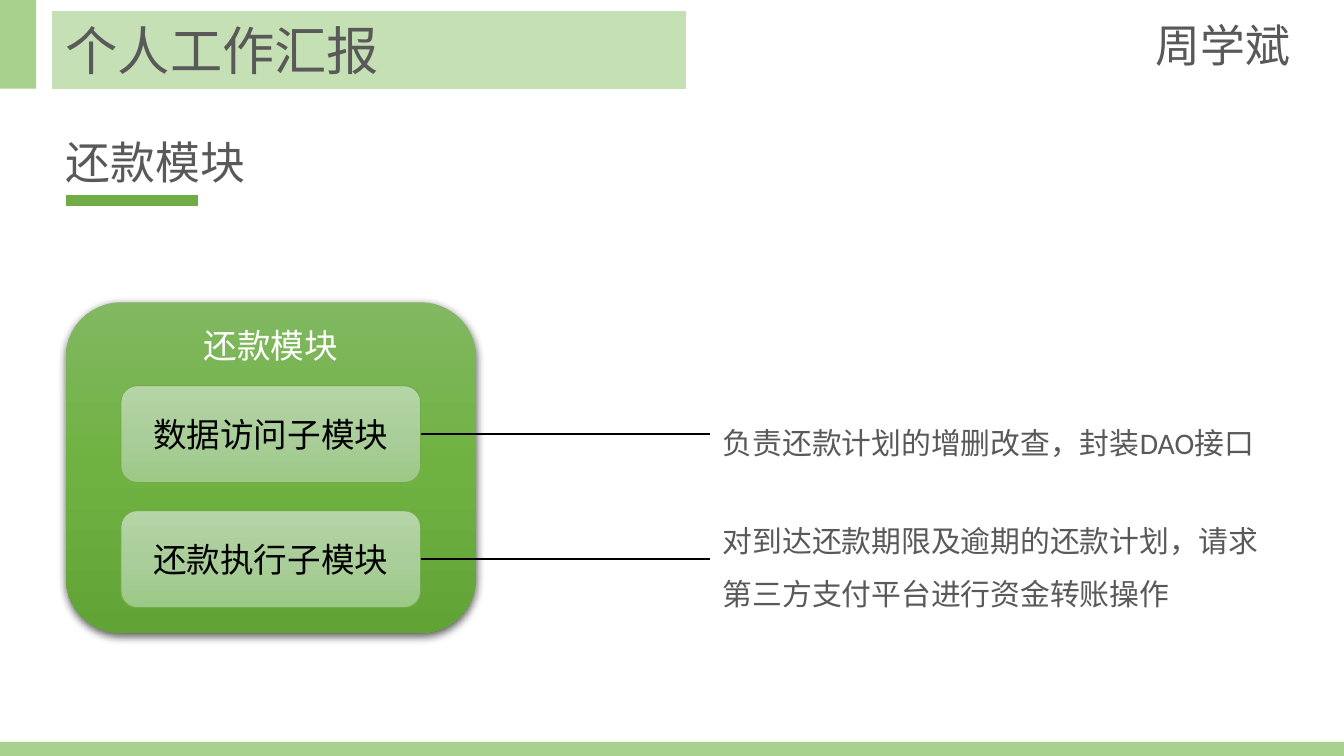
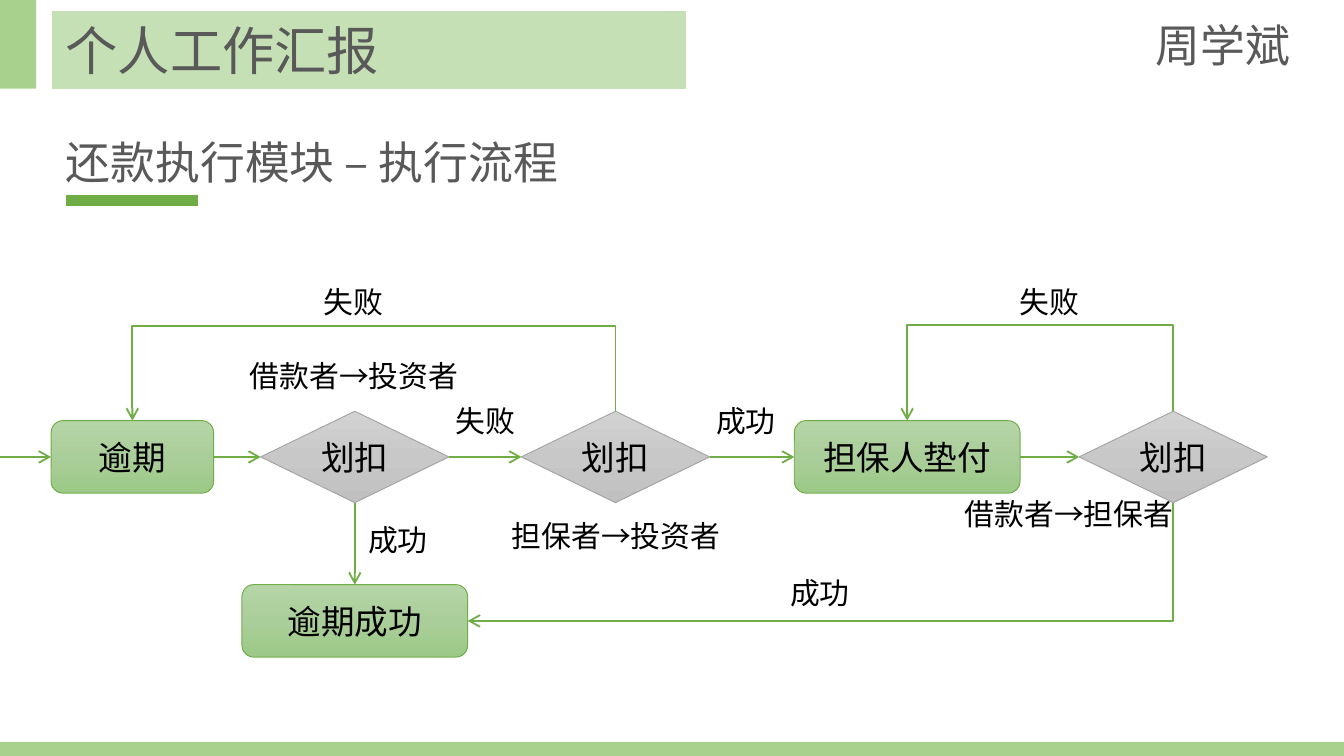
from copy import deepcopy

from lxml import etree
from pptx import Presentation
from pptx import util as u
from pptx.dml.color import RGBColor
from pptx.enum import shapes, text
from pptx.oxml.ns import qn

# Grid: 100 columns across the slide, square cells
COLUMNS = 100
CELL = u.Inches(10) // COLUMNS

# Shared colours and styles
color = RGBColor.from_string
PALE, LIGHT, GREEN = "C5E0B4", "A9D18E", "70AD47"
GRAY, BLACK, WHITE = "595959", "000000", "FFFFFF"
CJK = "Noto Sans CJK SC"
SOFT_GREEN = ["B5D5A7", "AACE9A", "9CC987"]
SOFT_GRAY = ["D2D2D2", "C8C8C8", "C0C0C0"]
DEEP_GREEN = ["81B861", "6FB242", "62A336"]
ROUND = shapes.MSO_SHAPE.ROUNDED_RECTANGLE
DIAMOND = shapes.MSO_SHAPE.DIAMOND
RECTANGLE = shapes.MSO_SHAPE.RECTANGLE
TOP, LEFT, BOTTOM, RIGHT = range(4)

GROW = text.MSO_AUTO_SIZE.SHAPE_TO_FIT_TEXT
TOP_LEFT = {"alignment": text.PP_ALIGN.LEFT, "anchor": text.MSO_ANCHOR.TOP, "grow": GROW}
CENTERED = {"alignment": text.PP_ALIGN.CENTER, "anchor": text.MSO_ANCHOR.MIDDLE}
BAND = {**TOP_LEFT, "size": 28, "name": CJK, "color": GRAY}
HEADING = {**BAND, "size": 24}
NOTE = {**TOP_LEFT, "size": 16, "color": GRAY, "spacing": 1.5}
LABEL = {**TOP_LEFT, "size": 16, "wrap": False}
NODE = {**CENTERED, "size": 18}


def add_box(slide, kind, box, content="", style=NODE, fill=None, line=None):
    """Add a preset shape, a text box (kind None) or fill the title."""
    left, top, width, height = [round(value * CELL) for value in box]
    if kind == "title":
        shape = slide.shapes.title
        shape.left, shape.top, shape.width, shape.height = left, top, width, height
    elif kind is None:
        shape = slide.shapes.add_textbox(left, top, width, height)
    else:
        shape = slide.shapes.add_shape(kind, left, top, width, height)
        shape.shadow.inherit = False
        if isinstance(fill, list):
            shape.fill.gradient()
            shape.fill.gradient_angle = 270
            stops = shape.element.spPr.find(".//" + qn("a:gsLst"))
            stops.insert(1, deepcopy(stops[0]))
            for stop, shade, position in zip(shape.fill.gradient_stops, fill, (0, 0.5, 1)):
                stop.color.rgb = color(shade)
                stop.position = position
        else:
            shape.fill.solid()
            shape.fill.fore_color.rgb = color(fill)
        if line:
            shape.line.color.rgb = color(line)
            shape.line.width = u.Pt(0.75 if line == PALE else 0.5)
        else:
            shape.line.fill.background()
    if content:
        frame = shape.text_frame
        frame.word_wrap = style.get("wrap", True)
        frame.auto_size = style.get("grow", text.MSO_AUTO_SIZE.NONE)
        frame.vertical_anchor = style["anchor"]
        paragraph = frame.paragraphs[0]
        paragraph.alignment = style["alignment"]
        paragraph.line_spacing = style.get("spacing", 1)
        run = paragraph.add_run()
        run.text = content
        run.font.size = u.Pt(style["size"])
        run.font.name = style.get("name", "Calibri")
        run.font.color.rgb = color(style.get("color", BLACK))
        etree.SubElement(run.font._element, qn("a:ea"), typeface=CJK)
    return shape


def add_line(slide, points, shade, width=1, arrow=False):
    """Add a connector without shadow, with an arrowhead if asked."""
    connector = slide.shapes.add_connector(
        shapes.MSO_CONNECTOR.STRAIGHT, *[round(value * CELL) for value in points])
    connector.line.color.rgb = color(shade)
    connector.line.width = u.Pt(width)
    properties = connector.element.spPr
    if arrow:
        etree.SubElement(properties.find(qn("a:ln")), qn("a:tailEnd"), type="arrow")
    etree.SubElement(properties, qn("a:effectLst"))
    return connector


presentation = Presentation()
presentation.slide_width = COLUMNS * CELL
presentation.slide_height = COLUMNS * CELL * 9 // 16
layout = presentation.slide_layouts.get_by_name("Title Only")
for placeholder in list(layout.placeholders)[1:]:
    placeholder.element.getparent().remove(placeholder.element)

# Both slides: title band, heading with accent, speaker
slides = []
for heading in ("还款模块", "还款执行模块 – 执行流程"):
    slide = presentation.slides.add_slide(layout)
    add_box(slide, RECTANGLE, (3.9, 0.9, 47.1, 5.7), "个人工作汇报", BAND, PALE, PALE)
    add_box(slide, "title", (3.9, 9.5, 77.3, 5), heading, HEADING)
    add_line(slide, (4.9, 14.9, 14.7, 14.9), GREEN, 6)
    add_box(slide, None, (85, 0.8, 12.1, 5), "周学斌", HEADING)
    slides.append(slide)
module_slide, flow_slide = slides

# Corner block and bottom band belong to the master
for box in ((0, 0, 2.7, 6.6), (0, 55.2, 100, 1.05)):
    block = add_box(module_slide, RECTANGLE, box, fill=LIGHT)
    presentation.slide_master.shapes.element.insert(2, block.element)

# Slide 1: module with its parts and their notes
module = add_box(module_slide, ROUND, (4.9, 22.5, 30.5, 24.6), "还款模块",
                 {**NODE, "anchor": text.MSO_ANCHOR.TOP, "color": WHITE}, DEEP_GREEN)
effects = module.element.spPr.find(qn("a:effectLst"))
shadow = etree.SubElement(effects, qn("a:outerShdw"), blurRad="57150", dist="19050",
                          dir="5400000", algn="ctr", rotWithShape="0")
shade = etree.SubElement(shadow, qn("a:srgbClr"), val=BLACK)
etree.SubElement(shade, qn("a:alpha"), val="63000")

parts = [
    ("数据访问子模块", "负责还款计划的增删改查，封装DAO接口", 5),
    ("还款执行子模块", "对到达还款期限及逾期的还款计划，请求第三方支付平台进行资金转账操作", 9.1),
]
for row, (part, note, note_height) in enumerate(parts):
    middle = 32.3 + row * 9.3
    add_box(module_slide, ROUND, (9, middle - 3.6, 22.3, 7.2), part, NODE, SOFT_GREEN, GREEN)
    add_box(module_slide, None, (52.8, middle - note_height / 2, 43.3, note_height), note, NOTE)
    add_line(module_slide, (52.8, middle, 31.3, middle), BLACK)

# Slide 2: flow nodes as name, left, middle row, width, text
FLOW_ROW = 34
nodes = {}
for name, left, middle, width, content in [
    ("overdue", 3.8, FLOW_ROW, 12.1, "逾期"),
    ("done", 18, 46.2, 16.8, "逾期成功"),
    ("advance", 59.1, FLOW_ROW, 16.8, "担保人垫付"),
]:
    nodes[name] = add_box(flow_slide, ROUND, (left, middle - 2.7, width, 5.4),
                          content, NODE, SOFT_GREEN, GREEN)
for name, left in [("borrower", 19.4), ("guarantor", 38.8), ("repay", 80.3)]:
    nodes[name] = add_box(flow_slide, DIAMOND, (left, FLOW_ROW - 3.4, 14, 6.8), "划扣",
                          {**NODE, "wrap": False}, SOFT_GRAY, "A5A5A5")

# Straight arrows
entry = add_line(flow_slide, (-1.9, FLOW_ROW, 3.8, FLOW_ROW), GREEN, arrow=True)
entry.end_connect(nodes["overdue"], LEFT)
for start, start_site, end, end_site in [
    ("overdue", RIGHT, "borrower", LEFT),
    ("borrower", RIGHT, "guarantor", LEFT),
    ("guarantor", RIGHT, "advance", LEFT),
    ("advance", RIGHT, "repay", LEFT),
    ("borrower", BOTTOM, "done", TOP),
]:
    arrow = add_line(flow_slide, (0, 0, 0, 0), GREEN, arrow=True)
    arrow.begin_connect(nodes[start], start_site)
    arrow.end_connect(nodes[end], end_site)

# Elbow arrows: turned a quarter, so width and height swap; rise is the loop's height
for start, start_site, end, end_site, rise in [
    ("guarantor", TOP, "overdue", TOP, 6.3),
    ("repay", TOP, "advance", TOP, 6.4),
    ("repay", BOTTOM, "done", RIGHT, 0),
]:
    arrow = add_line(flow_slide, (0, 0, 0, 0), GREEN, arrow=True)
    arrow.begin_connect(nodes[start], start_site)
    arrow.end_connect(nodes[end], end_site)
    center_x = (arrow.begin_x + arrow.end_x) // 2
    center_y = (arrow.begin_y + arrow.end_y) // 2
    arrow.width, arrow.height = arrow.height, arrow.width
    arrow.left = center_x - arrow.width // 2
    arrow.top = center_y - arrow.height // 2
    flip = "1" if rise else "0"
    transform = arrow.element.spPr.find(qn("a:xfrm"))
    for key, value in {"rot": "16200000" if rise else "5400000",
                       "flipH": flip, "flipV": flip}.items():
        transform.set(key, value)
    geometry = arrow.element.spPr.find(qn("a:prstGeom"))
    geometry.set("prst", "bentConnector3" if rise else "bentConnector2")
    if rise:
        bend = -round(rise * CELL / arrow.width * 100000)
        etree.SubElement(geometry.find(qn("a:avLst")), qn("a:gd"),
                         name="adj1", fmla=f"val {bend}")

# Labels of the flow
for content, left, top in [
    ("借款者→投资者", 17.6, 26.1),
    ("担保者→投资者", 37.1, 38),
    ("借款者→担保者", 70.8, 36.4),
    ("成功", 26.4, 38.3),
    ("成功", 52.3, 29.5),
    ("成功", 57.8, 42.3),
    ("失败", 32.9, 29.5),
    ("失败", 23.1, 20.6),
    ("失败", 74.9, 20.6),
]:
    width = 17.5 if "→" in content else 6.5
    add_box(flow_slide, None, (left, top, width, 3.7), content, LABEL)

presentation.save("out.pptx")
